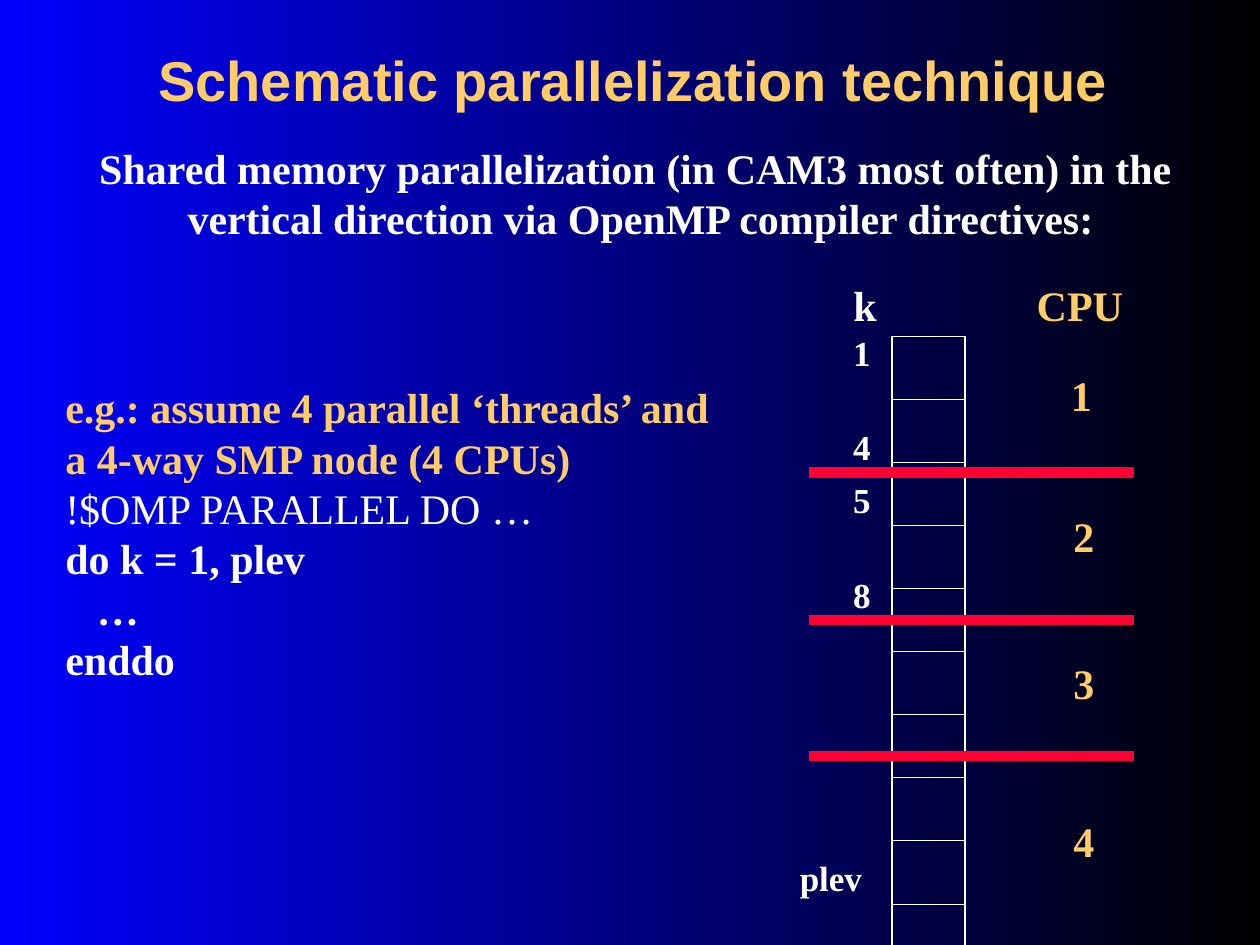
"""Build the slide on shared memory parallelization over vertical levels."""
import dataclasses

import lxml.etree
import pptx
import pptx.dml.color
import pptx.enum.shapes
import pptx.enum.text
import pptx.oxml.ns
import pptx.util
from pptx.util import Inches


@dataclasses.dataclass(frozen=True)
class Theme:
    """Colours, fonts, type sizes and line widths."""
    blue: str = "0000FF"
    black: str = "000000"
    white: str = "FFFFFF"
    gold: str = "FFCC66"
    red: str = "FF0033"
    heading_font: str = "Arial"
    body_font: str = "Times New Roman"
    title_size: int = 32
    body_size: int = 24
    label_size: int = 20
    divider_width: float = 6
    outer_border: float = 1.08
    inner_border: float = 0.45


def rgb(colour):
    """Return a colour object for a hexadecimal string."""
    return pptx.dml.color.RGBColor.from_string(colour)


def add_element(parent, tag, **attributes):
    """Append a drawing element to a parent element."""
    return lxml.etree.SubElement(parent, pptx.oxml.ns.qn(tag), attributes)


class SlideBuilder:
    """Draw themed elements on one slide."""

    def __init__(self, slide, theme):
        """Keep the slide and its theme."""
        self.slide = slide
        self.theme = theme

    def background(self):
        """Fill the background with a left to right gradient."""
        fill = self.slide.background.fill
        fill.gradient()
        fill.gradient_angle = 0
        for stop, colour in zip(fill.gradient_stops, (self.theme.blue, self.theme.black)):
            stop.color.rgb = rgb(colour)

    def text(self, left, top, width, height, lines, size, font=None,
             centred=True, wrap=True, middle=False):
        """Add a text box of (text, colour, bold) lines."""
        shape = self.slide.shapes.add_textbox(
            Inches(left), Inches(top), Inches(width), Inches(height))
        frame = shape.text_frame
        frame.word_wrap = wrap
        if middle:
            frame.vertical_anchor = pptx.enum.text.MSO_ANCHOR.MIDDLE
        else:
            frame.auto_size = pptx.enum.text.MSO_AUTO_SIZE.SHAPE_TO_FIT_TEXT
        alignment = pptx.enum.text.PP_ALIGN
        for index, (words, colour, bold) in enumerate(lines):
            paragraph = frame.add_paragraph() if index else frame.paragraphs[0]
            paragraph.alignment = alignment.CENTER if centred else alignment.LEFT
            run = paragraph.add_run()
            run.text = words
            run.font.name = font or self.theme.body_font
            run.font.size = pptx.util.Pt(size)
            run.font.bold = bold
            run.font.color.rgb = rgb(colour)

    def label(self, left, top, width, words, size, colour):
        """Add a one-line bold label."""
        height = 0.5 if size == self.theme.body_size else 0.44
        self.text(left, top, width, height, [(words, colour, True)], size, wrap=False)

    def border(self, cell, side, width):
        """Draw one border of a table cell."""
        line = add_element(cell._tc.get_or_add_tcPr(), f"a:ln{side}",
                           w=str(int(pptx.util.Pt(width))))
        add_element(add_element(line, "a:solidFill"), "a:srgbClr", val=self.theme.white)

    def column(self, left, top, width, row_height, count):
        """Add a one-column table of empty level cells."""
        theme = self.theme
        table = self.slide.shapes.add_table(
            count, 1, Inches(left), Inches(top), Inches(width),
            Inches(row_height * count)).table
        table.first_row = table.horz_banding = False
        for index in range(count):
            table.rows[index].height = Inches(row_height)
            cell = table.cell(index, 0)
            top_width = theme.inner_border if index else theme.outer_border
            bottom_width = theme.inner_border if index < count - 1 else theme.outer_border
            widths = (theme.outer_border, theme.outer_border, top_width, bottom_width)
            for side, border_width in zip("LRTB", widths):
                self.border(cell, side, border_width)
            cell.fill.background()
            end = add_element(cell.text_frame.paragraphs[0]._p, "a:endParaRPr",
                              sz=str(theme.body_size * 100))
            add_element(end, "a:latin", typeface=theme.body_font)

    def divider(self, left, right, height):
        """Add a thick horizontal line."""
        line = self.slide.shapes.add_connector(
            pptx.enum.shapes.MSO_CONNECTOR.STRAIGHT,
            Inches(left), Inches(height), Inches(right), Inches(height))
        line.line.color.rgb = rgb(self.theme.red)
        line.line.width = pptx.util.Pt(self.theme.divider_width)
        add_element(line._element.spPr, "a:effectLst")


def main():
    """Compose and save the slide."""
    theme = Theme()
    presentation = pptx.Presentation()
    presentation.slide_width = Inches(10)
    presentation.slide_height = Inches(7.5)
    slide = presentation.slides.add_slide(presentation.slide_layouts[6])
    builder = SlideBuilder(slide, theme)
    builder.background()
    builder.text(0.67, 0, 8.84, 1.25,
                 [("Schematic parallelization technique ", theme.gold, True)],
                 theme.title_size, font=theme.heading_font, middle=True)
    builder.text(0.17, 1.08, 9.83, 0.9, [
        ("Shared memory parallelization (in CAM3 most often) in the ", theme.white, True),
        ("vertical direction via OpenMP compiler directives:", theme.white, True),
    ], theme.body_size)
    builder.text(0.42, 2.98, 9.17, 2.5, [
        ("e.g.: assume 4 parallel ‘threads’ and", theme.gold, True),
        ("a 4-way SMP node (4 CPUs)", theme.gold, True),
        ("!$OMP PARALLEL DO …", theme.white, False),
        ("do k = 1, plev", theme.white, True),
        ("   …", theme.white, True),
        ("enddo", theme.white, True),
    ], theme.body_size, centred=False)

    builder.column(7.08, 2.67, 0.58, 0.28, 16)
    builder.label(6.67, 2.17, 0.39, "k", theme.body_size, theme.white)
    builder.label(8.11, 2.17, 0.92, "CPU", theme.body_size, theme.gold)
    for level, top in (("1", 2.58), ("4", 3.33), ("5", 3.75), ("8", 4.5)):
        builder.label(6.67, top, 0.34, level, theme.label_size, theme.white)
    builder.label(6.23, 6.75, 0.73, "plev", theme.label_size, theme.white)
    for height in (3.75, 4.92, 6):
        builder.divider(6.42, 9, height)
    for number, (left, top) in enumerate(
            ((8.4, 2.88), (8.42, 4), (8.42, 5.17), (8.42, 6.42)), start=1):
        builder.label(left, top, 0.36, str(number), theme.body_size, theme.gold)

    presentation.save("out.pptx")


if __name__ == "__main__":
    main()
